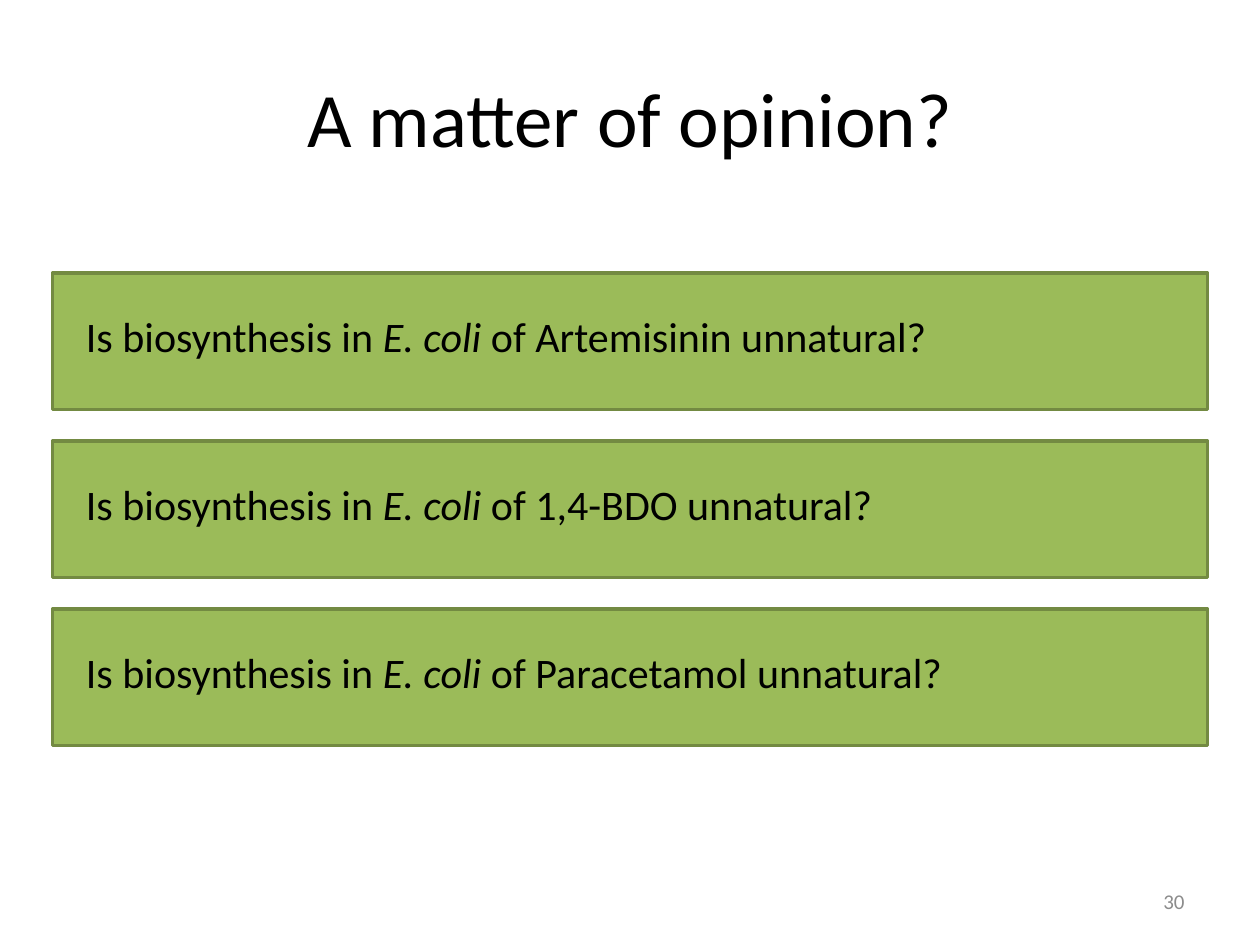
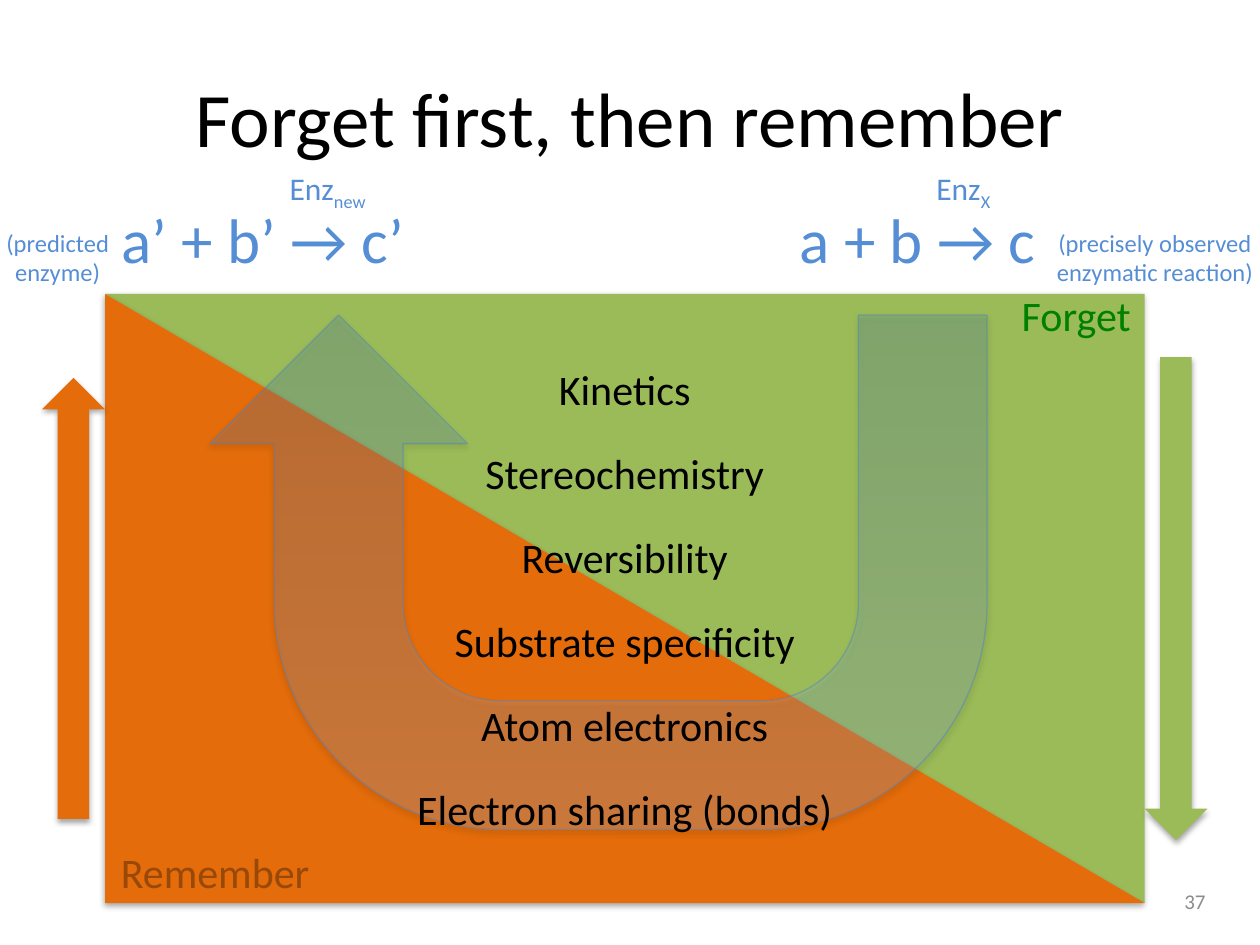
import dataclasses

import lxml.etree
import pptx
import pptx.dml.color
import pptx.enum.shapes
import pptx.enum.text
import pptx.oxml.ns
import pptx.util

SHAPE = pptx.enum.shapes.MSO_SHAPE
ALIGN = pptx.enum.text.PP_ALIGN
ANCHOR = pptx.enum.text.MSO_ANCHOR
FIT = pptx.enum.text.MSO_AUTO_SIZE
UNIT = pptx.util.Inches(1 / 12)
COLUMNS, ROWS = 120, 90


@dataclasses.dataclass(frozen=True)
class Theme:
    font: str = "Calibri"
    ink: str = "000000"
    muted: str = "8C8C8C"
    green: str = "9BBB59"
    green_edge: str = "738A42"
    orange: str = "E46C0A"
    blue: str = "558ED5"
    forget: str = "008000"
    remember: str = "984807"
    turn_edge: str = "4F81BD"
    turn_fill: tuple = ("3F80CE", "A4C4FF")
    title: int = 44
    equation: int = 36
    body: int = 24
    enzyme: int = 18
    note: int = 14
    number: int = 12


@dataclasses.dataclass(frozen=True)
class Box:
    left: float
    top: float
    width: float
    height: float

    def inner(self, left, top, width, height):
        return Box(self.left + left, self.top + top, width, height)

    def lengths(self):
        return [round(side * UNIT) for side in dataclasses.astuple(self)]


THEME = Theme()
TITLE_BOX = Box(6, 3.6, 108, 15)


def rgb(value):
    return pptx.dml.color.RGBColor.from_string(value)


def add_xml(parent, tag, **attributes):
    values = {name: str(value) for name, value in attributes.items()}
    return lxml.etree.SubElement(parent, pptx.oxml.ns.qn(tag), values)


def make_translucent(fill_xml, percent):
    for color in fill_xml.iter(pptx.oxml.ns.qn("a:srgbClr")):
        add_xml(color, "a:alpha", val=percent * 1000)


def format_runs(paragraph, size, color):
    for run in paragraph.runs:
        run.font.name = THEME.font
        run.font.size = pptx.util.Pt(size)
        run.font.color.rgb = rgb(color)


def add_label(shapes, box, pieces, size, color, align=ALIGN.CENTER, wrap=True):
    label = shapes.add_textbox(*box.lengths())
    frame = label.text_frame
    frame.word_wrap = wrap
    frame.auto_size = FIT.SHAPE_TO_FIT_TEXT
    paragraph = frame.paragraphs[0]
    paragraph.alignment = align
    for text, style in pieces:
        run = paragraph.add_run()
        run.text = text
        if style == "italic":
            run.font.italic = True
        elif style == "subscript":
            run._r.get_or_add_rPr().set("baseline", "-25000")
    format_runs(paragraph, size, color)
    return label


def add_solid(shapes, kind, box, color):
    solid = shapes.add_shape(kind, *box.lengths())
    solid.shadow.inherit = False
    solid.fill.solid()
    solid.fill.fore_color.rgb = rgb(color)
    solid.line.fill.background()
    return solid


def cast_shadow(shape):
    effects = shape._element.spPr.find(pptx.oxml.ns.qn("a:effectLst"))
    shadow = add_xml(effects, "a:outerShdw", blurRad=pptx.util.Pt(3.1),
                     dist=pptx.util.Pt(1.8), dir=90 * 60000, rotWithShape=0)
    add_xml(shadow, "a:srgbClr", val=THEME.ink)
    make_translucent(shadow, 35)


def start_slide(deck, title, number, number_left):
    slide = deck.slides.add_slide(deck.slide_layouts[5])
    heading = slide.shapes.title
    heading.left, heading.top, heading.width, heading.height = TITLE_BOX.lengths()
    heading.text_frame.text = title
    heading.text_frame.vertical_anchor = ANCHOR.MIDDLE
    heading.text_frame.paragraphs[0].alignment = ALIGN.CENTER
    format_runs(heading.text_frame.paragraphs[0], THEME.title, THEME.ink)
    page = add_label(slide.shapes, Box(number_left, 83.4, 28, 4.8),
                     [(number, "")], THEME.number, THEME.muted, ALIGN.RIGHT)
    page.text_frame.auto_size = FIT.NONE
    page.text_frame.vertical_anchor = ANCHOR.MIDDLE
    return slide


def add_question(slide, box, product):
    shapes = slide.shapes.add_group_shape().shapes
    card = add_solid(shapes, SHAPE.RECTANGLE, box, THEME.green)
    card.line.color.rgb = rgb(THEME.green_edge)
    card.line.width = pptx.util.Pt(2)
    question = [("Is biosynthesis in ", ""), ("E. coli ", "italic"),
                (f"of {product} unnatural?", "")]
    add_label(shapes, box.inner(2, 3, box.width - 5, 6), question,
              THEME.body, THEME.ink, ALIGN.LEFT)


def add_questions(slide, box, products):
    card_height, step = 13, 16
    for row, product in enumerate(products):
        add_question(slide, box.inner(0, row * step, box.width, card_height), product)


def add_reaction(slide, box, equation, enzyme, note):
    text, left, width = equation
    add_label(slide.shapes, box.inner(left, 3, width, 8.5), [(text, "")],
              THEME.equation, THEME.blue, ALIGN.LEFT, wrap=False)
    text, left, width = enzyme
    add_label(slide.shapes, box.inner(left, 0, width, 4.8),
              [("Enz", ""), (text, "subscript")],
              THEME.enzyme, THEME.blue, ALIGN.LEFT, wrap=False)
    text, left, width = note
    add_label(slide.shapes, box.inner(left, 5.6, width, 6.8), [(text, "")],
              THEME.note, THEME.blue)


def add_halves(slide, box):
    for color, rotation in ((THEME.green, 180), (THEME.orange, 0)):
        half = add_solid(slide.shapes, SHAPE.RIGHT_TRIANGLE, box, color)
        half.rotation = rotation
        cast_shadow(half)
    corners = (("Forget", THEME.forget, box.width - 24, -1),
               ("Remember", THEME.remember, -7, box.height - 6))
    for word, color, left, top in corners:
        add_label(slide.shapes, box.inner(left, top, 35, 6), [(word, "")],
                  THEME.body, color)


def add_side_arrows(slide, box):
    arrows = ((SHAPE.UP_ARROW, THEME.orange, -6, 8, 42),
              (SHAPE.DOWN_ARROW, THEME.green, box.width, 6, 46))
    for kind, color, left, top, height in arrows:
        cast_shadow(add_solid(slide.shapes, kind, box.inner(left, top, 6, height), color))


def add_turn(slide, box):
    turn = add_solid(slide.shapes, SHAPE.U_TURN_ARROW, box, THEME.green)
    turn.rotation = 180
    for index, share in enumerate((0.25, 0.25, 0.25, 0.44, 1)):
        turn.adjustments[index] = share
    turn.fill.gradient()
    turn.fill.gradient_angle = 90
    for stop, color in zip(turn.fill.gradient_stops, THEME.turn_fill):
        stop.color.rgb = rgb(color)
    properties = turn._element.spPr
    make_translucent(properties.find(pptx.oxml.ns.qn("a:gradFill")), 20)
    turn.line.color.rgb = rgb(THEME.turn_edge)
    turn.line.width = pptx.util.Pt(0.75)
    make_translucent(properties.find(pptx.oxml.ns.qn("a:ln")), 44)
    cast_shadow(turn)


def add_terms(slide, box, terms):
    step = box.height / len(terms)
    for row, term in enumerate(terms):
        add_label(slide.shapes, box.inner(0, row * step, box.width, 6),
                  [(term, "")], THEME.body, THEME.ink)


def build_opinion_slide(deck):
    slide = start_slide(deck, "A matter of opinion?", "30", 86)
    add_questions(slide, Box(5, 26, 110, 45),
                  ("Artemisinin", "1,4-BDO", "Paracetamol"))


def build_forget_slide(deck):
    slide = start_slide(deck, "Forget first, then remember", "37", 88)
    panel = Box(10, 28, 99, 58)
    add_halves(slide, panel)
    add_side_arrows(slide, panel)
    add_reaction(slide, Box(75, 15.5, 47, 12.4), ("a + b → c", 0, 25),
                 ("X", 13, 7.7), ("(precisely observed enzymatic reaction)", 23, 24))
    add_reaction(slide, Box(-1, 15.5, 41, 12.4), ("a’ + b’ → c’", 11.4, 29.6),
                 ("new", 27.4, 10.2), ("(predicted enzyme)", 0, 13))
    add_turn(slide, panel.inner(10, 2, 74, 49))
    add_terms(slide, panel.inner(28, 6, 43, 48),
              ("Kinetics", "Stereochemistry", "Reversibility",
               "Substrate specificity", "Atom electronics",
               "Electron sharing (bonds)"))


def main():
    deck = pptx.Presentation()
    deck.slide_width = COLUMNS * UNIT
    deck.slide_height = ROWS * UNIT
    build_opinion_slide(deck)
    build_forget_slide(deck)
    deck.save("out.pptx")


if __name__ == "__main__":
    main()
